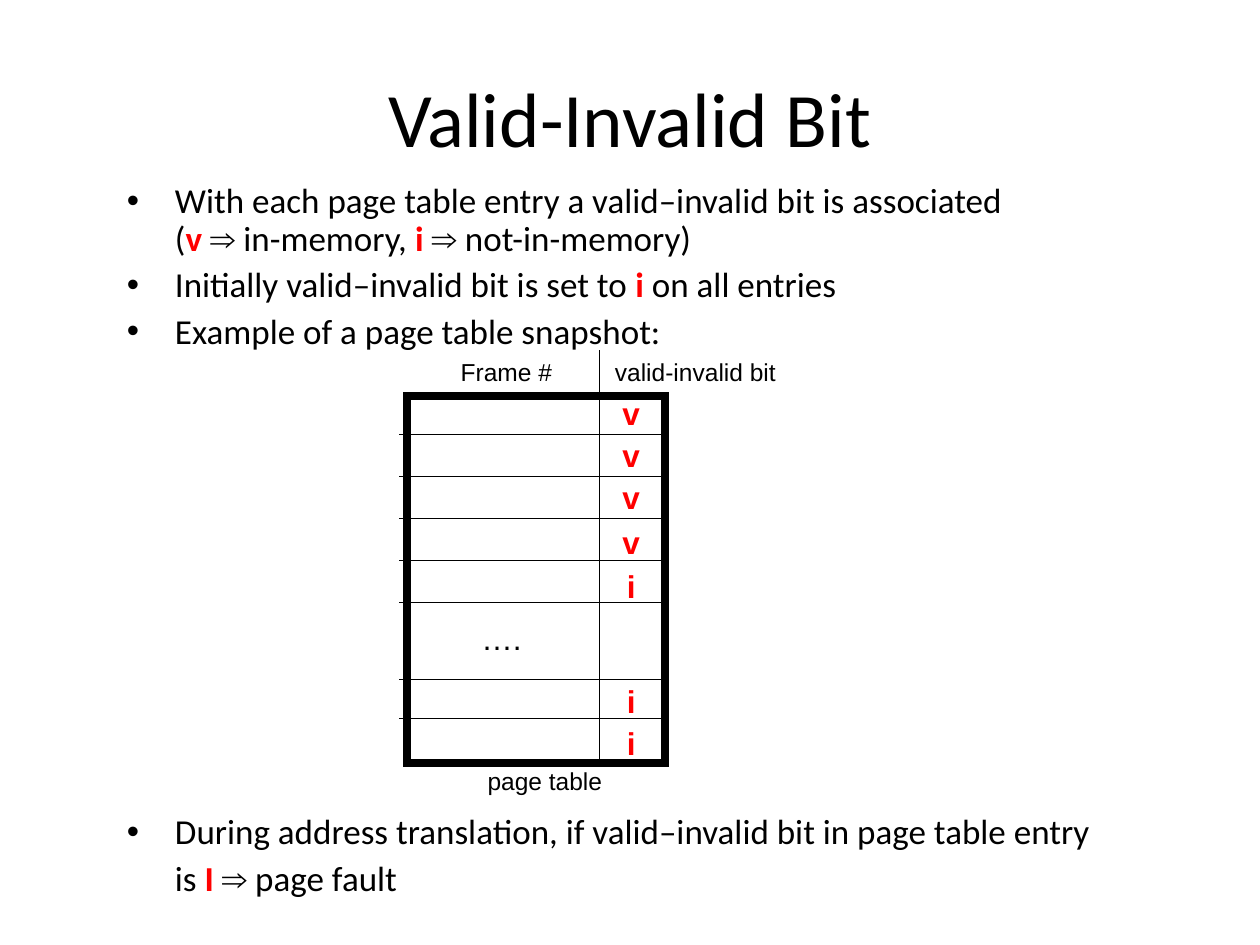
"""Build the Valid-Invalid Bit slide with its page table diagram."""
from lxml import etree
from pptx import Presentation
from pptx import util as u
from pptx.dml.color import RGBColor
from pptx.enum import shapes, text
from pptx.oxml.ns import qn

COLORS = {"ink": "000000", "mark": "FF0000", "paper": "FFFFFF"}
STYLES = {
    "title": {"size": 44, "name": "Calibri", "bold": False, "color": "ink"},
    "body": {"size": 20, "name": "Calibri", "bold": False, "color": "ink"},
    "key": {"size": 20, "name": "Calibri", "bold": True, "color": "mark"},
    "arrow": {"size": 20, "name": "Arial", "bold": False, "color": "ink"},
    "bit": {"size": 18, "name": "Arial", "bold": True, "color": "mark"},
    "dots": {"size": 18, "name": "Arial", "bold": False, "color": "ink"},
    "label": {"size": 14, "name": "Arial", "bold": False, "color": "ink"},
}
BREAK = ("", "break")
ARROW = ("⇒", "arrow")
TITLE = ("Valid-Invalid Bit", (36, 21.6, 648, 90))
BODY = [
    ((65.5, 101.2, 570, 108), [
        (True, [("With each page table entry a valid–invalid bit is associated", "body"),
                BREAK, ("(", "body"), ("v ", "key"), ARROW, (" in-memory, ", "body"),
                ("i ", "key"), ARROW, (" not-in-memory)", "body")]),
        (True, [("Initially valid–invalid bit is set to", "body"), (" i ", "key"),
                ("on all entries", "body")]),
        (True, [("Example of a page table snapshot:", "body")]),
    ]),
    ((65.5, 461.8, 570, 60), [
        (True, [("During address translation, if valid–invalid bit in page table entry",
                 "body")]),
        (False, [("is", "body"), (" I ", "key"), ARROW, (" page fault", "body")]),
    ]),
]
FRAME = (232.6, 226.1, 147.6, 210.2)
RULE_SPAN = (228.2, 378.7)
RULES = [248.4 + 24 * row for row in range(5)] + [388.1, 410.4]
DIVIDER = (342.7, 200.2, 342.7, 434.2)
BIT_CENTER = 360.7
BITS = [("v", 236.2), ("v", 259.9), ("v", 283.7), ("v", 309.6),
        ("i", 334.8), ("i", 400.3), ("i", 424.8)]
LABELS = [
    ("….", "dots", 286.6, 364.3, 48),
    ("Frame #", "label", 289.4, 212.4, 76),
    ("valid-invalid bit", "label", 397.4, 212.4, 114),
    ("page table", "label", 311.4, 446.4, 88),
]
HANG = 27.4


def color(key):
    return RGBColor.from_string(COLORS[key])


def apply(target, values):
    for attribute, value in values.items():
        setattr(target, attribute, value)


def add_run(paragraph, words, style):
    if style == "break":
        paragraph.add_line_break()
        return
    run = paragraph.add_run()
    run.text = words
    values = dict(STYLES[style])
    run.font.color.rgb = color(values.pop("color"))
    values["size"] = u.Pt(values["size"])
    apply(run.font, values)


def add_frame(slide, place, **values):
    frame = slide.shapes.add_textbox(*map(u.Pt, place)).text_frame
    apply(frame, values)
    return frame


def add_centered(slide, words, style, place, **values):
    frame = add_frame(slide, place, vertical_anchor=text.MSO_ANCHOR.MIDDLE, **values)
    paragraph = frame.paragraphs[0]
    paragraph.alignment = text.PP_ALIGN.CENTER
    add_run(paragraph, words, style)


def add_label(slide, words, style, center, middle, width):
    height = 28.8 if STYLES[style]["size"] == 18 else 24.5
    place = (center - width / 2, middle - height / 2, width, height)
    add_centered(slide, words, style, place, word_wrap=False,
                 auto_size=text.MSO_AUTO_SIZE.SHAPE_TO_FIT_TEXT)


def add_body(slide, place, items):
    frame = add_frame(slide, place, word_wrap=True)
    for index, (bulleted, runs) in enumerate(items):
        paragraph = frame.add_paragraph() if index else frame.paragraphs[0]
        apply(paragraph, {"line_spacing": 0.9, "space_before": u.Pt(5 if index else 0)})
        properties = paragraph._p.get_or_add_pPr()
        properties.set("marL", str(u.Pt(HANG)))
        properties.set("indent", str(u.Pt(-HANG if bulleted else 0)))
        if bulleted:
            etree.SubElement(properties, qn("a:buFont"), typeface="Arial")
            etree.SubElement(properties, qn("a:buChar"), char="•")
        for words, style in runs:
            add_run(paragraph, words, style)


def add_rule(slide, ends):
    rule = slide.shapes.add_connector(shapes.MSO_CONNECTOR.STRAIGHT, *map(u.Pt, ends))
    rule.line.color.rgb = color("ink")
    rule.line.width = u.Pt(0.75)
    etree.SubElement(rule._element.spPr, qn("a:effectLst"))


def add_page_table(slide):
    table = slide.shapes.add_shape(shapes.MSO_SHAPE.RECTANGLE, *map(u.Pt, FRAME))
    table.shadow.inherit = False
    table.fill.solid()
    table.fill.fore_color.rgb = color("paper")
    table.line.color.rgb = color("ink")
    table.line.width = u.Pt(4.5)
    outline = table._element.spPr.find(qn("a:ln"))
    etree.SubElement(outline, qn("a:miter"), lim="800000")
    left, right = RULE_SPAN
    for ends in [(left, y, right, y) for y in RULES] + [DIVIDER]:
        add_rule(slide, ends)
    for bit, middle in BITS:
        add_label(slide, bit, "bit", BIT_CENTER, middle, 28)
    for label in LABELS:
        add_label(slide, *label)


def main():
    deck = Presentation()
    apply(deck, {"slide_width": u.Pt(720), "slide_height": u.Pt(540)})
    slide = deck.slides.add_slide(deck.slide_layouts[6])
    words, place = TITLE
    add_centered(slide, words, "title", place, word_wrap=True)
    for place, items in BODY:
        add_body(slide, place, items)
    add_page_table(slide)
    deck.save("out.pptx")


if __name__ == "__main__":
    main()
